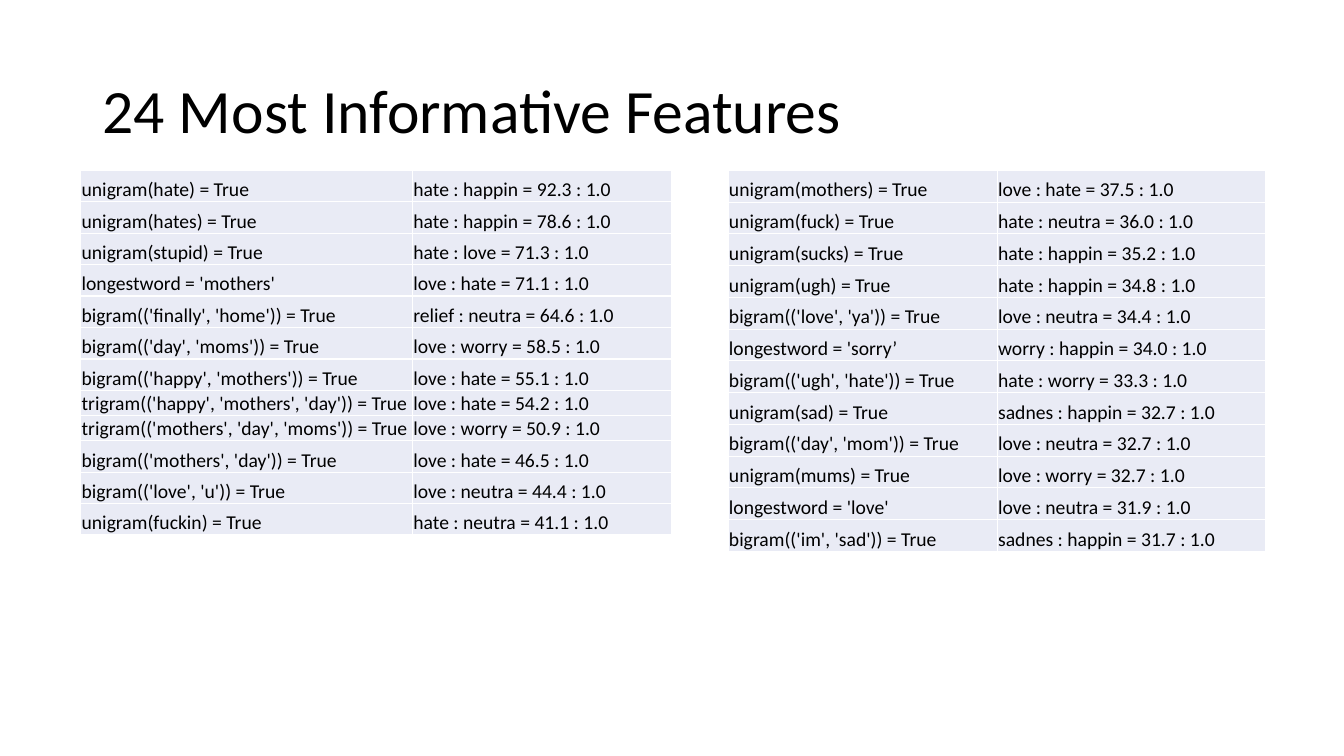
import pptx
import pptx.util
import pptx.dml.color
import pptx.enum.text

Inches = pptx.util.Inches
COLORS = {"text": "000000", "cell": "E9EBF5"}
SHORT_ROW = 0.25

STRONGEST = [
    ("unigram(hate) = True", "hate : happin = 92.3 : 1.0"),
    ("unigram(hates) = True", "hate : happin = 78.6 : 1.0"),
    ("unigram(stupid) = True", "hate : love = 71.3 : 1.0"),
    ("longestword = 'mothers'", "love : hate = 71.1 : 1.0"),
    ("bigram(('finally', 'home')) = True", "relief : neutra = 64.6 : 1.0"),
    ("bigram(('day', 'moms')) = True", "love : worry = 58.5 : 1.0"),
    ("bigram(('happy', 'mothers')) = True", "love : hate = 55.1 : 1.0"),
    ("trigram(('happy', 'mothers', 'day')) = True", "love : hate = 54.2 : 1.0"),
    ("trigram(('mothers', 'day', 'moms')) = True", "love : worry = 50.9 : 1.0"),
    ("bigram(('mothers', 'day')) = True", "love : hate = 46.5 : 1.0"),
    ("bigram(('love', 'u')) = True", "love : neutra = 44.4 : 1.0"),
    ("unigram(fuckin) = True", "hate : neutra = 41.1 : 1.0"),
]
NEXT_STRONGEST = [
    ("unigram(mothers) = True", "love : hate = 37.5 : 1.0"),
    ("unigram(fuck) = True", "hate : neutra = 36.0 : 1.0"),
    ("unigram(sucks) = True", "hate : happin = 35.2 : 1.0"),
    ("unigram(ugh) = True", "hate : happin = 34.8 : 1.0"),
    ("bigram(('love', 'ya')) = True", "love : neutra = 34.4 : 1.0"),
    ("longestword = 'sorry’", "worry : happin = 34.0 : 1.0"),
    ("bigram(('ugh', 'hate')) = True", "hate : worry = 33.3 : 1.0"),
    ("unigram(sad) = True", "sadnes : happin = 32.7 : 1.0"),
    ("bigram(('day', 'mom')) = True", "love : neutra = 32.7 : 1.0"),
    ("unigram(mums) = True", "love : worry = 32.7 : 1.0"),
    ("longestword = 'love'", "love : neutra = 31.9 : 1.0"),
    ("bigram(('im', 'sad')) = True", "sadnes : happin = 31.7 : 1.0"),
]


class FeatureSlide:
    font_name = "Calibri"

    def __init__(self, slide):
        self.slide = slide

    def color(self, name):
        return pptx.dml.color.RGBColor.from_string(COLORS[name])

    def style(self, paragraph, size):
        paragraph.font.name = self.font_name
        paragraph.font.size = pptx.util.Pt(size)
        paragraph.font.color.rgb = self.color("text")

    def title(self, text, left, top, width, height):
        frame = self.slide.shapes.add_textbox(
            Inches(left), Inches(top), Inches(width), Inches(height)).text_frame
        frame.word_wrap = True
        frame.vertical_anchor = pptx.enum.text.MSO_ANCHOR.MIDDLE
        heading = frame.paragraphs[0]
        heading.text = text
        heading.line_spacing = 0.9
        self.style(heading, 44)

    def features(self, entries, left, top, widths, height):
        table = self.slide.shapes.add_table(
            len(entries), len(widths), Inches(left), Inches(top),
            Inches(sum(widths)), Inches(height)).table
        table.first_row = table.horz_banding = False
        for column, width in zip(table.columns, widths):
            column.width = Inches(width)
        trigrams = sum(feature.startswith("trigram") for feature, _ in entries)
        full_row = (height - trigrams * SHORT_ROW) / (len(entries) - trigrams)
        for row, entry in zip(table.rows, entries):
            row.height = Inches(SHORT_ROW if entry[0].startswith("trigram") else full_row)
            for cell, text in zip(row.cells, entry):
                self.cell(cell, text)

    def cell(self, cell, text):
        cell.fill.solid()
        cell.fill.fore_color.rgb = self.color("cell")
        cell.vertical_anchor = pptx.enum.text.MSO_ANCHOR.BOTTOM
        cell.margin_left = cell.margin_right = cell.margin_top = Inches(0.01)
        cell.margin_bottom = 0
        cell.text = text
        self.style(cell.text_frame.paragraphs[0], 14)


def main():
    deck = pptx.Presentation()
    deck.slide_width = Inches(13.33)
    deck.slide_height = Inches(7.5)
    page = FeatureSlide(deck.slides.add_slide(deck.slide_layouts[6]))
    page.title("24 Most Informative Features", 0.92, 0.4, 11.5, 1.45)
    page.features(STRONGEST, 0.8, 1.69, (3.29, 2.57), 3.62)
    page.features(NEXT_STRONGEST, 7.22, 1.69, (2.67, 2.66), 3.78)
    deck.save("out.pptx")


if __name__ == "__main__":
    main()
